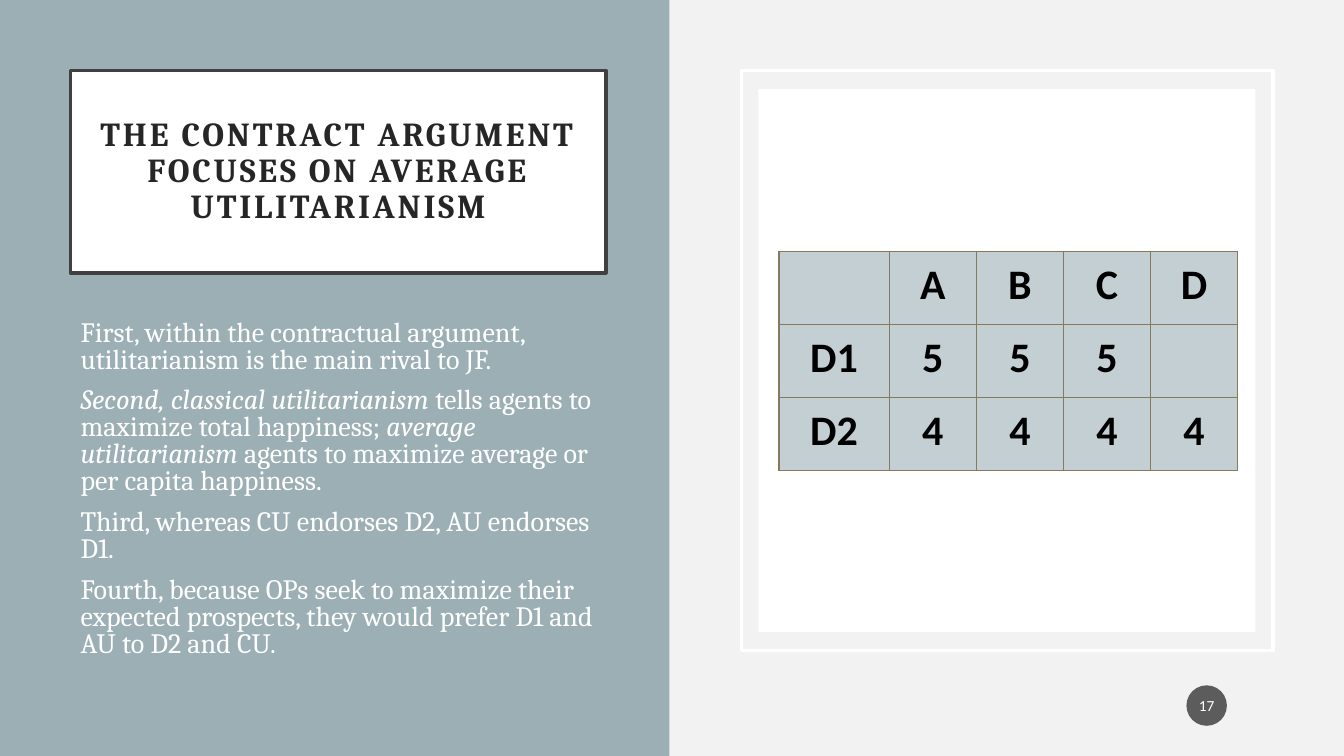
import pptx
import pptx.util
import pptx.dml.color
import pptx.enum.shapes
import pptx.enum.text
import pptx.oxml
import pptx.oxml.ns

Cm, Pt = pptx.util.Cm, pptx.util.Pt
KIND = pptx.enum.shapes.MSO_SHAPE
ALIGN = pptx.enum.text.PP_ALIGN
ANCHOR = pptx.enum.text.MSO_ANCHOR

HUES = {
    "back": "F2F2F2", "panel": "9BAFB5", "white": "FFFFFF",
    "frame": "404040", "title": "262626", "cell": "C3CFD3",
    "rule": "87795D", "black": "000000", "badge": "1D1D1D",
}

TITLE = "THE CONTRACT ARGUMENT FOCUSES ON AVERAGE UTILITARIANISM"
# Each paragraph is a list of (text, italic) runs
POINTS = [
    [("First, within the contractual argument, utilitarianism is the main rival to JF.", False)],
    [("Second, classical utilitarianism", True),
     (" tells agents to maximize total happiness; ", False),
     ("average utilitarianism ", True),
     ("agents to maximize average or per capita happiness.", False)],
    [("Third, whereas CU endorses D2, AU endorses D1.", False)],
    [("Fourth, because OPs seek to maximize their expected prospects, "
      "they would prefer D1 and AU to D2 and CU.", False)],
]
GRID = [
    ["", "A", "B", "C", "D"],
    ["D1", "5", "5", "5", ""],
    ["D2", "4", "4", "4", "4"],
]


def color(name):
    return pptx.dml.color.RGBColor.from_string(HUES[name])


def node(tag, body=""):
    space = pptx.oxml.ns.nsdecls("a")
    return pptx.oxml.parse_xml(f"<a:{tag} {space}>{body}</a:{tag}>")


def write(frame, paras, font="Cambria", size=20, hue="white", bold=False,
          align=ALIGN.LEFT, lines=None, gap=0, track=0,
          pad=(0.25, 0.13), anchor=ANCHOR.TOP):
    """Fill a text frame; paras is a string or a list of run lists."""
    if isinstance(paras, str):
        paras = [[(paras, False)]]
    frame.word_wrap = True
    frame.vertical_anchor = anchor
    frame.margin_left = frame.margin_right = Cm(pad[0])
    frame.margin_top = frame.margin_bottom = Cm(pad[1])
    for i, runs in enumerate(paras):
        para = frame.add_paragraph() if i else frame.paragraphs[0]
        para.alignment = align
        if lines:
            para.line_spacing = lines
        if i:
            para.space_before = Pt(gap)
        for text, slant in runs:
            run = para.add_run()
            run.text = text
            run.font.name, run.font.size = font, Pt(size)
            run.font.bold, run.font.italic = bold, slant
            run.font.color.rgb = color(hue)
            if track:
                run._r.get_or_add_rPr().set("spc", str(track * 100))


def block(slide, box, fill=None, line=None, kind=KIND.RECTANGLE):
    shape = slide.shapes.add_shape(kind, *map(Cm, box))
    shape.shadow.inherit = False
    if fill:
        shape.fill.solid()
        shape.fill.fore_color.rgb = color(fill)
    else:
        shape.fill.background()
    if line:
        shape.line.color.rgb = color(line)
        shape.line.width = Pt(2.5)
    else:
        shape.line.fill.background()
    return shape


def panel(slide, x, y, w, h):
    """Left side: coloured panel, title box and points."""
    block(slide, (x, y, w, h), "panel")
    left, wide = x + 1.78, w - 3.38
    head = block(slide, (left, y + 1.78, wide, 5.1), "white", "frame")
    write(head.text_frame, TITLE, size=24, hue="title", bold=True, lines=0.9,
          track=2, align=ALIGN.CENTER, pad=(0.5, 0.5), anchor=ANCHOR.MIDDLE)
    body = slide.shapes.add_textbox(Cm(left), Cm(y + 7.95), Cm(wide), Cm(9.32))
    write(body.text_frame, POINTS, lines=0.8, gap=10)


def edge(cell):
    """Rule all four sides of a cell."""
    props = cell._tc.get_or_add_tcPr()
    for i, side in enumerate(("lnL", "lnR", "lnT", "lnB")):
        rule = node(side, f'<a:solidFill><a:srgbClr val="{HUES["rule"]}"/></a:solidFill>')
        rule.set("w", str(Pt(1)))
        props.insert(i, rule)


def table(slide, x, y, w, h):
    """Payoff table; the label column is wider than the rest."""
    rows, cols = len(GRID), len(GRID[0])
    grid = slide.shapes.add_table(rows, cols, Cm(x), Cm(y), Cm(w), Cm(h)).table
    grid.first_row = grid.horz_banding = False
    first = 2.78
    for i, col in enumerate(grid.columns):
        col.width = Cm((w - first) / (cols - 1) if i else first)
    for r, row in enumerate(GRID):
        grid.rows[r].height = Cm(h / rows)
        for c, text in enumerate(row):
            cell = grid.cell(r, c)
            cell.fill.solid()
            cell.fill.fore_color.rgb = color("cell")
            edge(cell)
            if text:
                cell.margin_left = cell.margin_right = Cm(0.4)
                cell.margin_top = cell.margin_bottom = Cm(0.2)
                para = cell.text_frame
                write(para, text, font="Calibri", size=30, hue="black",
                      bold=True, align=ALIGN.CENTER, pad=(0.4, 0.2))


def card(slide, x, y, w, h):
    """Right side: outlined frame, white card and table."""
    block(slide, (x, y, w, h), line="white")
    block(slide, (x + 0.42, y + 0.46, w - 0.86, h - 0.92), "white")
    table(slide, x + 0.94, y + 4.55, 11.56, 5.52)


def badge(slide, x, y, size):
    """Round slide number."""
    disc = block(slide, (x, y, size, size), "badge", kind=KIND.OVAL)
    fill = disc.fill._xPr.find(pptx.oxml.ns.qn("a:solidFill"))
    alpha = node("alpha")
    alpha.set("val", "70000")
    fill[0].append(alpha)
    write(disc.text_frame, "17", font="Calibri", size=11, align=ALIGN.CENTER,
          pad=(0.05, 0.13), anchor=ANCHOR.MIDDLE)


def main():
    deck = pptx.Presentation()
    deck.slide_width, deck.slide_height = Cm(33.87), Cm(19.05)
    slide = deck.slides.add_slide(deck.slide_layouts[6])
    slide.background.fill.solid()
    slide.background.fill.fore_color.rgb = color("back")
    panel(slide, 0, 0, 16.87, 19.05)
    card(slide, 18.69, 1.78, 13.39, 14.61)
    badge(slide, 29.9, 17.27, 1.02)
    deck.save("out.pptx")


if __name__ == "__main__":
    main()
